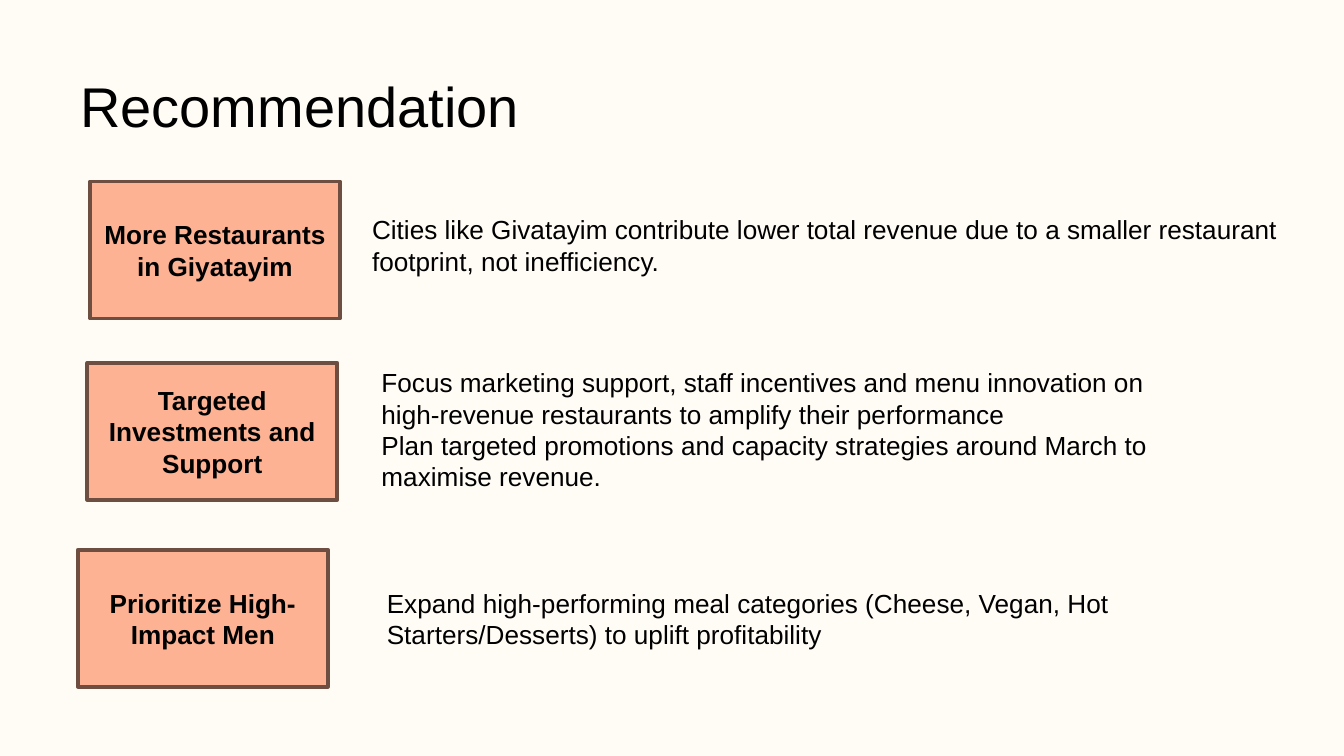
from pptx import Presentation
from pptx.dml.color import RGBColor
from pptx.enum.shapes import MSO_SHAPE
from pptx.enum.text import MSO_ANCHOR, PP_ALIGN
from pptx.util import Inches, Pt

RECTANGLE = MSO_SHAPE.RECTANGLE
TOP, MIDDLE = MSO_ANCHOR.TOP, MSO_ANCHOR.MIDDLE
LEFT, CENTER = PP_ALIGN.LEFT, PP_ALIGN.CENTER

TITLE = "Recommendation"
RECOMMENDATIONS = [
    {
        "label": "More Restaurants in Giyatayim",
        "label_at": (0.67, 1.35),
        "details": ["Cities like Givatayim contribute lower total revenue due to a smaller "
                    "restaurant footprint, not inefficiency."],
        "details_at": (2.67, 1.54, 7.47, 0.91),
    },
    {
        "label": "Targeted Investments and Support",
        "label_at": (0.65, 2.7),
        "details": ["Focus marketing support, staff incentives and menu innovation on "
                    "high-revenue restaurants to amplify their performance",
                    "Plan targeted promotions and capacity strategies around March to "
                    "maximise revenue."],
        "details_at": (2.74, 2.68, 6.1, 1.04),
    },
    {
        "label": "Prioritize High-Impact Men",
        "label_at": (0.58, 4.09),
        "details": ["Expand high-performing meal categories (Cheese, Vegan, Hot "
                    "Starters/Desserts) to uplift profitability"],
        "details_at": (2.78, 4.32, 6.1, 0.57),
    },
]
LABEL_SIZE = (1.86, 1.02)
THEME = {
    "font": "Arial",
    "title_size": 30,
    "body_size": 14,
    "background": RGBColor.from_string("FFFBF5"),
    "text": RGBColor.from_string("000000"),
    "label_fill": RGBColor.from_string("FCB293"),
    "label_line": RGBColor.from_string("6E4E40"),
}


def write_text(shape, paragraphs, size=THEME["body_size"], bold=False, align=LEFT,
               anchor=TOP, line_spacing=1.0, inset=(0.1, 0.05)):
    frame = shape.text_frame
    frame.word_wrap = True
    frame.vertical_anchor = anchor
    frame.margin_left = frame.margin_right = Inches(inset[0])
    frame.margin_top = frame.margin_bottom = Inches(inset[1])
    frame.text = "\n".join(paragraphs)
    for paragraph in frame.paragraphs:
        paragraph.alignment = align
        paragraph.line_spacing = line_spacing
        font = paragraph.runs[0].font
        font.name = THEME["font"]
        font.size = Pt(size)
        font.bold = bold
        font.color.rgb = THEME["text"]


def add_label(slide, text, position):
    shape = slide.shapes.add_shape(RECTANGLE, *map(Inches, position + LABEL_SIZE))
    shape.shadow.inherit = False
    shape.fill.solid()
    shape.fill.fore_color.rgb = THEME["label_fill"]
    shape.line.color.rgb = THEME["label_line"]
    shape.line.width = Pt(2)
    write_text(shape, [text], bold=True, align=CENTER, anchor=MIDDLE)


def main():
    presentation = Presentation()
    presentation.slide_width = Inches(10)
    presentation.slide_height = Inches(10 * 9 / 16)
    slide = presentation.slides.add_slide(presentation.slide_layouts.get_by_name("Title Only"))
    slide.background.fill.solid()
    slide.background.fill.fore_color.rgb = THEME["background"]

    title = slide.shapes.title
    title.left, title.top, title.width, title.height = map(Inches, (0, 0.4, 4.46, 0.62))
    write_text(title, [TITLE], size=THEME["title_size"], align=CENTER, anchor=MIDDLE,
               line_spacing=1.29, inset=(0.1, 0.1))

    for item in RECOMMENDATIONS:
        add_label(slide, item["label"], item["label_at"])
        details = slide.shapes.add_textbox(*map(Inches, item["details_at"]))
        write_text(details, item["details"])

    presentation.save("out.pptx")


if __name__ == "__main__":
    main()
